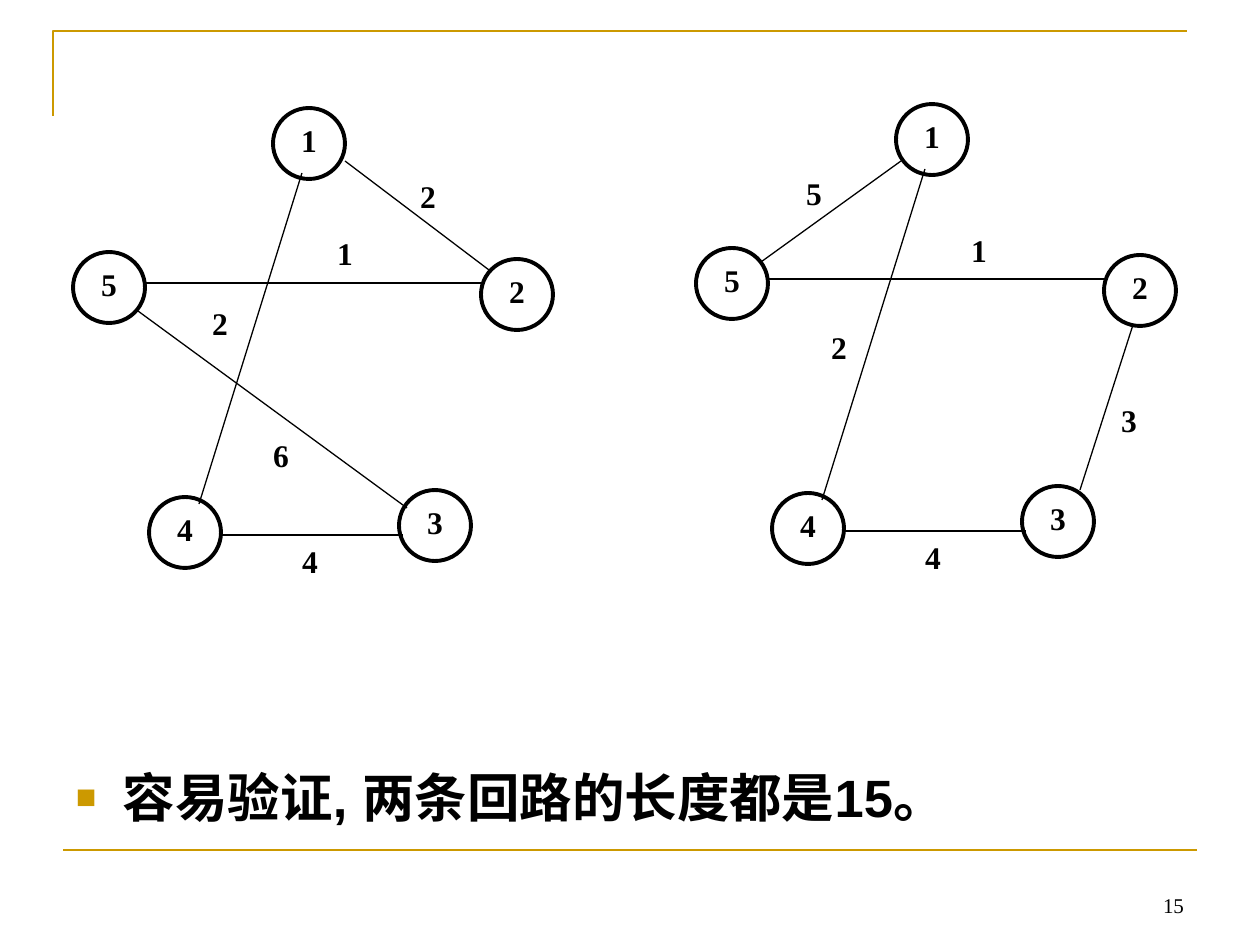
from dataclasses import dataclass

from lxml.etree import SubElement
from pptx import Presentation
from pptx.dml.color import RGBColor
from pptx.enum.shapes import MSO_CONNECTOR as Connector, MSO_SHAPE as Preset
from pptx.enum.text import MSO_ANCHOR as Anchor, MSO_AUTO_SIZE as AutoSize, PP_ALIGN as Align
from pptx.oxml.ns import qn
from pptx.util import Pt

STATEMENT = "容易验证, 两条回路的长度都是15。"
PAGE_NUMBER = "15"

NODES = {"4": (149, 497), "3": (399, 490), "5": (73, 252), "2": (481, 259), "1": (273, 108)}
SHARED_EDGES = [
    (145, 283, 485, 283),
    (302, 173, 199, 504),
    (220, 535, 403, 535),
]
CIRCUITS = [
    {
        "origin": (0, 0),
        "edges": [(138, 311, 407, 508), (345, 161, 489, 270)],
        "weights": [("2", 403, 174), ("4", 285, 539), ("1", 320, 231), ("6", 256, 433), ("2", 195, 301)],
    },
    {
        "origin": (623, -4),
        "edges": [(138, 266, 278, 165), (457, 494, 510, 329)],
        "weights": [("5", 166, 175), ("3", 481, 402), ("4", 285, 539), ("1", 331, 232), ("2", 191, 329)],
    },
]
CORNER = [(53, 116), (53, 31), (1187, 31)]
FOOT_RULE = (63, 850, 1197, 850)
NODE_SIZE = (72, 71)
WEIGHT_SIZE = (50, 49)
BODY_BOX = (63, 220, 1134, 624)
PAGE_BOX = (903, 861, 294, 63)


@dataclass(frozen=True)
class Theme:
    ink: RGBColor = RGBColor(0, 0, 0)
    paper: RGBColor = RGBColor(255, 255, 255)
    gold: RGBColor = RGBColor(0xCC, 0x99, 0x00)
    serif: str = "Times New Roman"
    sans: str = "Arial"
    statement_size: int = 30
    digit_size: int = 18
    page_size: int = 12
    node_line: float = 2.25
    edge_line: float = 0.75
    rule_line: float = 1.5


THEME = Theme()


def px(length):
    return round(length * 914400 / 126)


def scaled(lengths):
    return [px(length) for length in lengths]


def write(shape, text, font, size, bold, align, anchor, insets):
    frame = shape.text_frame
    frame.word_wrap = True
    frame.auto_size = AutoSize.NONE
    frame.vertical_anchor = anchor
    frame.margin_left, frame.margin_top, frame.margin_right, frame.margin_bottom = scaled(insets)
    paragraph = frame.paragraphs[0]
    paragraph.alignment = align
    run = paragraph.add_run()
    run.text = text
    run.font.name = font
    run.font.size = Pt(size)
    run.font.bold = bold
    run.font.color.rgb = THEME.ink
    return paragraph


def write_digit(shape, text):
    write(shape, text, THEME.serif, THEME.digit_size, True, Align.CENTER, Anchor.TOP, (0, 3, 0, 0))


def style_line(shape, color, width):
    shape.line.color.rgb = color
    shape.line.width = Pt(width)


def add_line(shapes, ends, color, width):
    line = shapes.add_connector(Connector.STRAIGHT, *scaled(ends))
    style_line(line, color, width)
    SubElement(line._element.spPr, qn("a:effectLst"))


def add_circuit(slide, circuit):
    dx, dy = circuit["origin"]
    shapes = slide.shapes.add_group_shape().shapes
    for name, (x, y) in NODES.items():
        node = shapes.add_shape(Preset.OVAL, *scaled((x + dx, y + dy, *NODE_SIZE)))
        node.shadow.inherit = False
        node.fill.solid()
        node.fill.fore_color.rgb = THEME.paper
        style_line(node, THEME.ink, THEME.node_line)
        write_digit(node, name)
    for x1, y1, x2, y2 in SHARED_EDGES + circuit["edges"]:
        add_line(shapes, (x1 + dx, y1 + dy, x2 + dx, y2 + dy), THEME.ink, THEME.edge_line)
    for weight, x, y in circuit["weights"]:
        write_digit(shapes.add_textbox(*scaled((x + dx, y + dy, *WEIGHT_SIZE))), weight)


def add_frame(slide):
    start, *rest = CORNER
    builder = slide.shapes.build_freeform(*scaled(start))
    builder.add_line_segments([scaled(point) for point in rest], close=False)
    corner = builder.convert_to_shape()
    corner.shadow.inherit = False
    corner.fill.background()
    style_line(corner, THEME.gold, THEME.rule_line)
    add_line(slide.shapes, FOOT_RULE, THEME.gold, THEME.rule_line)


def add_statement(slide):
    body = slide.placeholders[1]
    body.left, body.top, body.width, body.height = scaled(BODY_BOX)
    paragraph = write(body, STATEMENT, THEME.sans, THEME.statement_size, True,
                      Align.LEFT, Anchor.BOTTOM, (13, 6, 13, 16))
    paragraph.space_before = Pt(0)
    properties = paragraph._p.get_or_add_pPr()
    properties.set("marL", str(px(47)))
    properties.set("indent", str(px(-47)))
    color = SubElement(properties, qn("a:buClr"))
    SubElement(color, qn("a:srgbClr"), val=str(THEME.gold))
    SubElement(properties, qn("a:buSzPct"), val="65000")
    SubElement(properties, qn("a:buFont"), typeface=THEME.sans)
    SubElement(properties, qn("a:buChar"), char="■")


def main():
    presentation = Presentation()
    presentation.slide_width, presentation.slide_height = scaled((1260, 945))
    slide = presentation.slides.add_slide(presentation.slide_layouts[1])
    title = slide.shapes.title._element
    title.getparent().remove(title)
    add_frame(slide)
    add_statement(slide)
    for circuit in CIRCUITS:
        add_circuit(slide, circuit)
    page = slide.shapes.add_textbox(*scaled(PAGE_BOX))
    write(page, PAGE_NUMBER, THEME.serif, THEME.page_size, False,
          Align.RIGHT, Anchor.BOTTOM, (13, 6, 13, 6))
    presentation.save("out.pptx")


if __name__ == "__main__":
    main()
